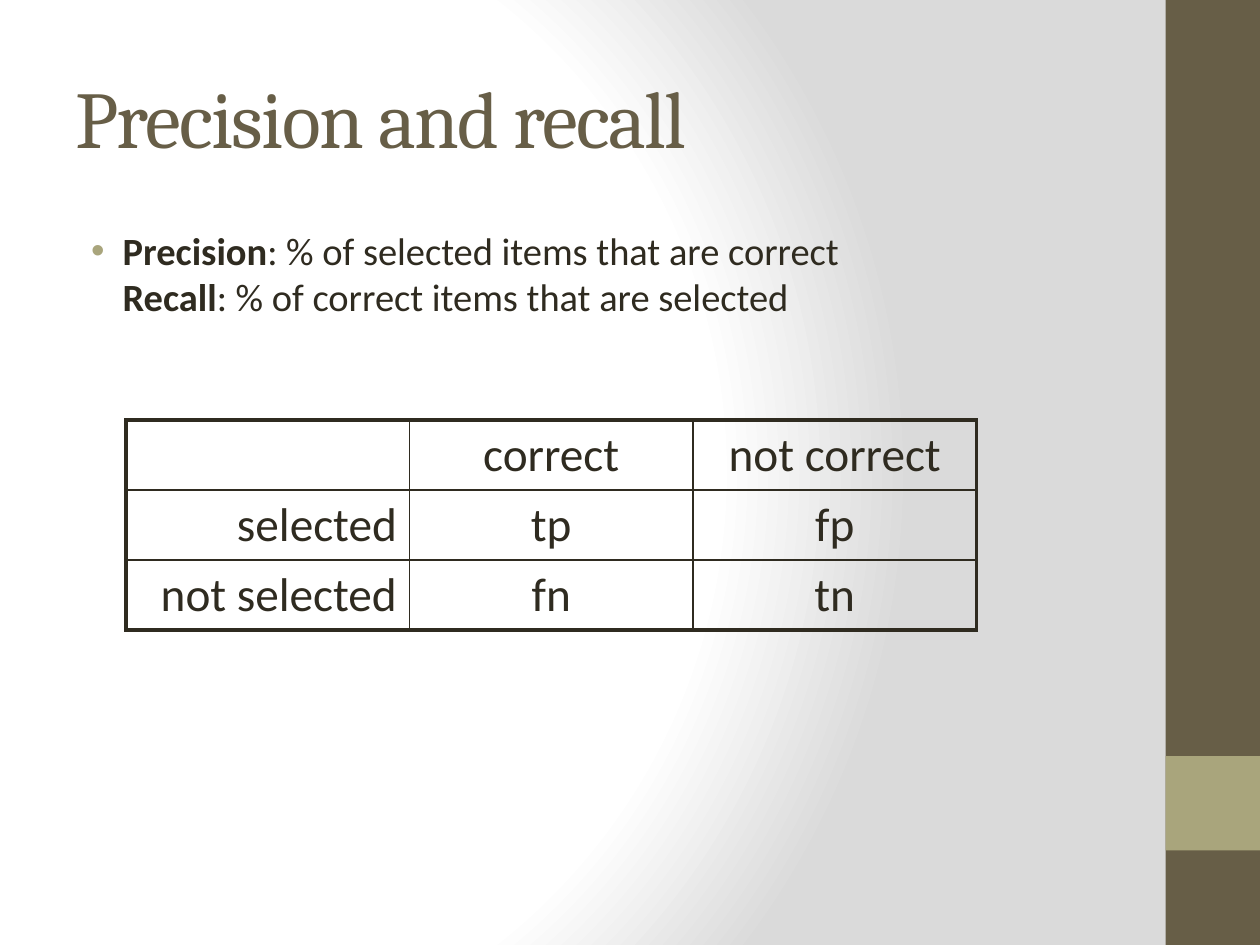
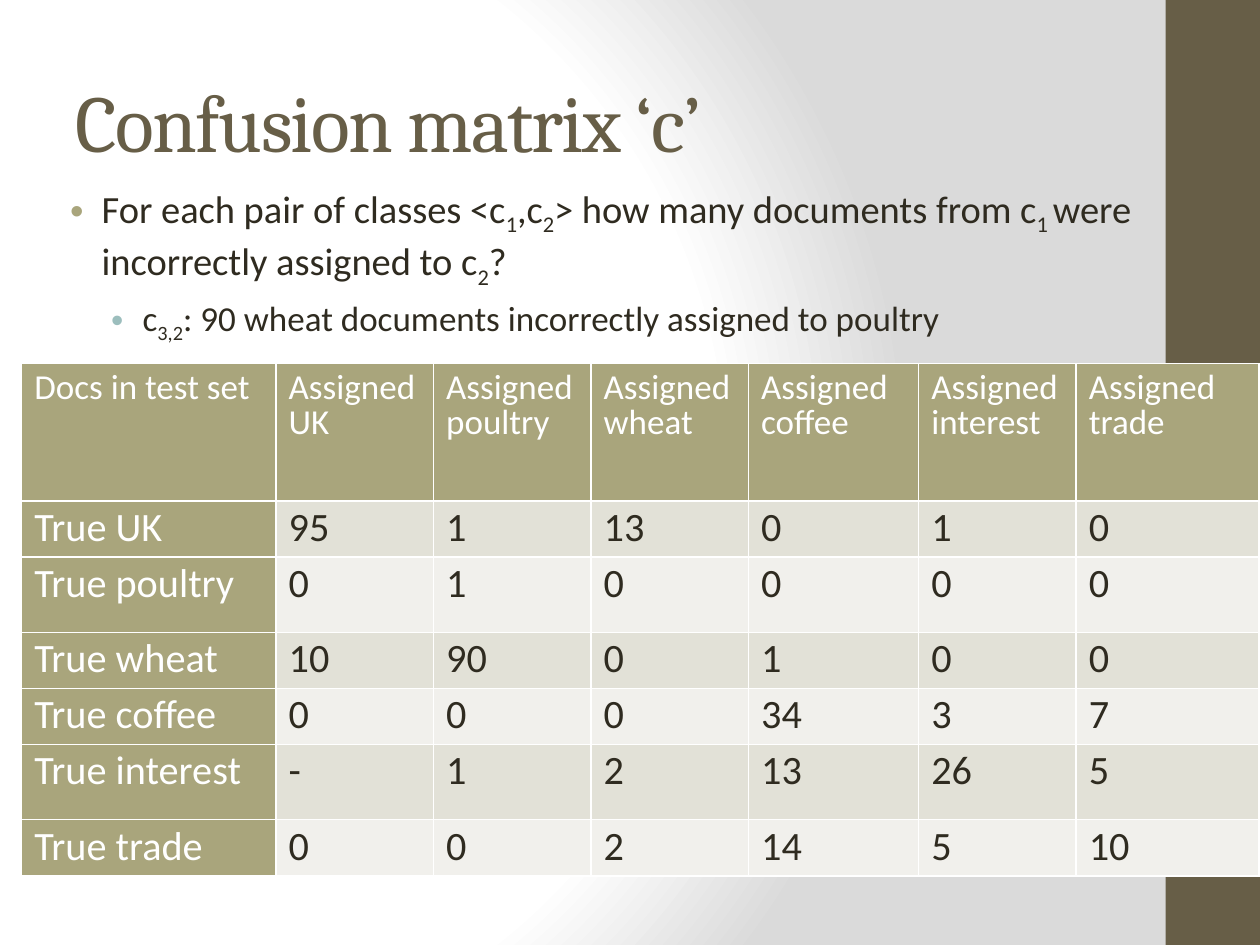
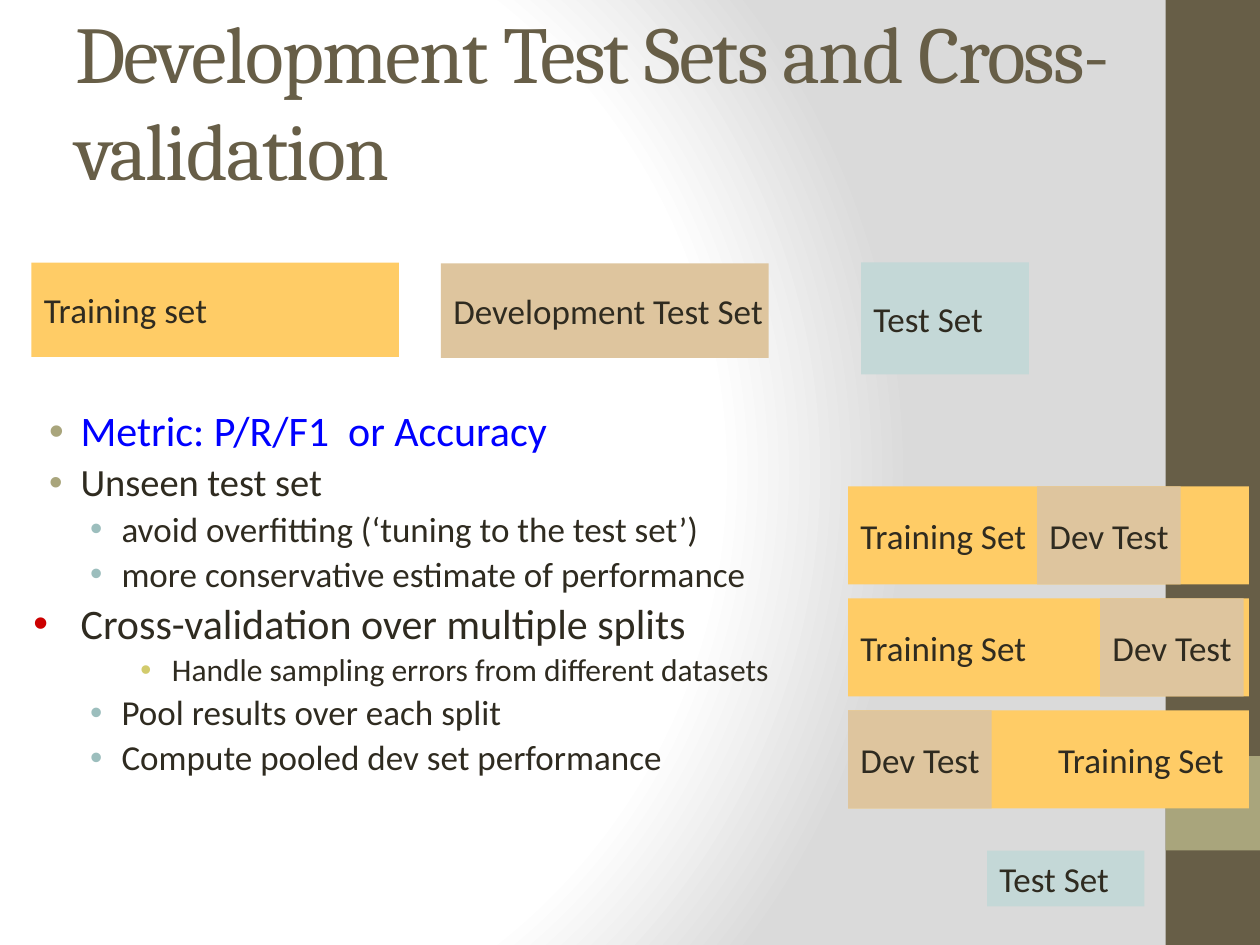
"""Build three slides on classifier evaluation: precision and recall, confusion matrix, test sets."""
from lxml.etree import SubElement
from pptx import Presentation
from pptx.dml.color import RGBColor
from pptx.enum.shapes import MSO_SHAPE
from pptx.enum.text import MSO_ANCHOR, PP_ALIGN
from pptx.oxml import parse_xml
from pptx.oxml.ns import nsdecls, qn
from pptx.util import Pt

COLORS = {
    "title": "675E47", "accent": "A9A57C", "ink": "2F2B20", "white": "FFFFFF", "edge": "DADADA",
    "teal": "9CBEBD", "yellow": "D2CB6C", "red": "CC0000", "blue": "0000FF",
    "odd_row": "E2E1D7", "even_row": "F1F0EC",
    "training": "FFCC66", "dev": "DEC59E", "test": "C4D8D7",
}
BODY_FONT, TITLE_FONT = "Calibri", "Cambria"
BANDS = [((666, 0, 54, 540), "title"), ((666, 432, 54, 54), "accent")]

LEVELS = {
    "main": {"margin": 27, "indent": -18, "bullet": "accent", "size": 22},
    "key": {"margin": 27, "indent": -18, "bullet": "accent", "size": 24, "color": "blue"},
    "sub": {"margin": 50.4, "indent": -18, "bullet": "teal", "size": 20},
    "red": {"margin": 27, "indent": -27, "bullet": "red", "size": 24},
    "detail": {"margin": 79.2, "indent": -18, "bullet": "yellow", "size": 18},
}

DEFINITIONS = [("main", [
    ("Precision", "bold"), (": % of selected items that are correct", ""), ("\n", ""),
    ("Recall", "bold"), (": % of correct items that are selected", ""),
])]
CONTINGENCY = [
    ["", "correct", "not correct"],
    ["selected", "tp", "fp"],
    ["not selected", "fn", "tn"],
]

MATRIX_NOTES = [
    ("main", [
        ("For each pair of classes <c", ""), ("1", "low"), (",c", ""), ("2", "low"),
        ("> how many documents from c", ""), ("1 ", "low"),
        ("were incorrectly assigned to c", ""), ("2", "low"), ("?", ""),
    ]),
    ("sub", [
        ("c", ""), ("3,2", "low"), (": 90 wheat documents incorrectly assigned to poultry", ""),
    ]),
]
MATRIX = [
    ["Docs in test set", "Assigned\nUK", "Assigned poultry", "Assigned wheat",
     "Assigned coffee", "Assigned interest", "Assigned trade"],
    ["True UK", "95", "1", "13", "0", "1", "0"],
    ["True poultry", "0", "1", "0", "0", "0", "0"],
    ["True wheat", "10", "90", "0", "1", "0", "0"],
    ["True coffee", "0", "0", "0", "34", "3", "7"],
    ["True interest", "-", "1", "2", "13", "26", "5"],
    ["True trade", "0", "0", "2", "14", "5", "10"],
]
MATRIX_COLUMNS = [145.4, 90, 90, 90, 97.2, 90, 104.4]
MATRIX_ROWS = [78.5, 32, 43, 32, 32, 43, 32]

VALIDATION_NOTES = [(level, [(text, "")]) for level, text in [
    ("key", "Metric: P/R/F1  or Accuracy"),
    ("main", "Unseen test set"),
    ("sub", "avoid overfitting (‘tuning to the test set’)"),
    ("sub", "more conservative estimate of performance"),
    ("red", "Cross-validation over multiple splits"),
    ("detail", "Handle sampling errors from different datasets"),
    ("sub", "Pool results over each split"),
    ("sub", "Compute pooled dev set performance"),
]]
DATA_SETS = [
    ("Training set", "training", (18, 150, 210, 54)),
    ("Development Test Set", "dev", (252, 150.5, 187.2, 54)),
    ("Test Set", "test", (492, 150, 96, 64)),
    ("Test Set", "test", (564, 486, 90, 32)),
]
SPLIT_LEFT, SPLIT_TOP, SPLIT_PITCH, SPLIT_HEIGHT = 484.6, 278, 64, 56
SPLIT_WIDTH, DEV_WIDTH = 229, 82
SPLITS = [(108, 7.2), (144, 7.2), (0, 120)]


def points(values):
    return [Pt(value) for value in values]


def rgb(name):
    return RGBColor.from_string(COLORS[name])


def assign(target, **values):
    for name, value in values.items():
        setattr(target, name, value)


def add_span(para, text, size, color="ink", font=BODY_FONT, bold=False):
    span = para.add_run()
    span.text = text
    assign(span.font, size=Pt(size), name=font, bold=bold)
    span.font.color.rgb = rgb(color)
    return span


def add_text_box(page, place, anchor=MSO_ANCHOR.TOP):
    frame = page.shapes.add_textbox(*points(place)).text_frame
    assign(frame, word_wrap=True, vertical_anchor=anchor)
    return frame


def add_rect(page, place, fill):
    box = page.shapes.add_shape(MSO_SHAPE.RECTANGLE, *points(place))
    box.shadow.inherit = False
    box.fill.solid()
    box.fill.fore_color.rgb = rgb(fill)
    box.line.fill.background()
    return box


def add_label(page, text, fill, place, inset=7.2):
    frame = add_rect(page, place, fill).text_frame
    assign(frame, word_wrap=False, vertical_anchor=MSO_ANCHOR.MIDDLE, margin_left=Pt(inset))
    para = frame.paragraphs[0]
    para.alignment = PP_ALIGN.LEFT
    add_span(para, text, 20)


def set_background(page):
    stops = "".join(
        f'<a:gs pos="{position}"><a:srgbClr val="{COLORS[name]}"/></a:gs>'
        for position, name in [(0, "white"), (75000, "white"), (100000, "edge")])
    gradient = parse_xml(
        f'<a:gradFill {nsdecls("a")} rotWithShape="1"><a:gsLst>{stops}</a:gsLst>'
        '<a:path path="circle"><a:fillToRect l="20000" t="50000" r="100000" b="50000"/></a:path>'
        '</a:gradFill>')
    page.background.fill.solid()
    solid = page.background._cSld.find(".//" + qn("a:solidFill"))
    solid.getparent().replace(solid, gradient)


def add_page(deck, title, place):
    page = deck.slides.add_slide(deck.slide_layouts[6])
    set_background(page)
    for band, fill in BANDS:
        add_rect(page, band, fill)
    para = add_text_box(page, place, MSO_ANCHOR.MIDDLE).paragraphs[0]
    span = add_span(para, title, 46, "title", TITLE_FONT)
    span._r.get_or_add_rPr().set("spc", "-100")
    return page


def set_bullet(para, level):
    props = para._p.get_or_add_pPr()
    props.set("marL", str(Pt(level["margin"])))
    props.set("indent", str(Pt(level["indent"])))
    SubElement(SubElement(props, qn("a:buClr")), qn("a:srgbClr")).set("val", COLORS[level["bullet"]])
    SubElement(props, qn("a:buFont")).set("typeface", "Arial")
    SubElement(props, qn("a:buChar")).set("char", "•")


def add_bullets(page, place, notes, line_spacing=1.0):
    frame = add_text_box(page, place)
    for index, (name, parts) in enumerate(notes):
        level = LEVELS[name]
        para = frame.add_paragraph() if index else frame.paragraphs[0]
        assign(para, line_spacing=line_spacing, space_before=Pt(round(level["size"] * 0.2, 1)))
        set_bullet(para, level)
        for text, style in parts:
            if text == "\n":
                para.add_line_break()
                continue
            span = add_span(para, text, level["size"], level.get("color", "ink"), bold=style == "bold")
            if style == "low":
                span._r.get_or_add_rPr().set("baseline", "-25000")


def set_borders(cell, color, widths):
    props = cell._tc.get_or_add_tcPr()
    for side, width in zip("LRTB", widths):
        line = SubElement(props, qn(f"a:ln{side}"), w=str(Pt(width)))
        SubElement(SubElement(line, qn("a:solidFill")), qn("a:srgbClr")).set("val", COLORS[color])


def add_grid(page, corner, columns, rows):
    size = (sum(columns), sum(rows))
    table = page.shapes.add_table(len(rows), len(columns), *points(corner + size)).table
    assign(table, first_row=False, horz_banding=False)
    for column, width in zip(table.columns, columns):
        column.width = Pt(width)
    for row, height in zip(table.rows, rows):
        row.height = Pt(height)
    return table


def add_contingency(page):
    table = add_grid(page, (72, 240), [162] * 3, [40] * 3)
    last = len(CONTINGENCY) - 1
    for r, row in enumerate(CONTINGENCY):
        for c, text in enumerate(row):
            cell = table.cell(r, c)
            outer = (c == 0, c == last, r == 0, r == last)
            set_borders(cell, "ink", [2.25 if edge else 1 for edge in outer])
            cell.fill.background()
            para = cell.text_frame.paragraphs[0]
            para.alignment = PP_ALIGN.CENTER if c else PP_ALIGN.RIGHT
            if text:
                add_span(para, text, 27)


def add_matrix(page):
    table = add_grid(page, (12.4, 207.8), MATRIX_COLUMNS, MATRIX_ROWS)
    for r, row in enumerate(MATRIX):
        for c, text in enumerate(row):
            cell = table.cell(r, c)
            header = r == 0 or c == 0
            assign(cell, margin_top=Pt(5), margin_bottom=Pt(5))
            set_borders(cell, "white", [1] * 4)
            cell.fill.solid()
            cell.fill.fore_color.rgb = rgb("accent" if header else "odd_row" if r % 2 else "even_row")
            for index, line in enumerate(text.split("\n")):
                frame = cell.text_frame
                para = frame.add_paragraph() if index else frame.paragraphs[0]
                para.line_spacing = 0.8
                add_span(para, line, 23 if r else 20, "white" if header else "ink")


def add_splits(page):
    for index, (dev_offset, inset) in enumerate(SPLITS):
        top = SPLIT_TOP + index * SPLIT_PITCH
        add_label(page, "Training Set", "training", (SPLIT_LEFT, top, SPLIT_WIDTH, SPLIT_HEIGHT), inset)
        add_label(page, "Dev Test", "dev", (SPLIT_LEFT + dev_offset, top, DEV_WIDTH, SPLIT_HEIGHT))


def main():
    deck = Presentation()
    assign(deck, slide_width=Pt(720), slide_height=Pt(540))

    page = add_page(deck, "Precision and recall", (36, 21.6, 600, 90))
    add_bullets(page, (36, 126, 600, 378), DEFINITIONS)
    add_contingency(page)

    page = add_page(deck, "Confusion matrix ‘c’", (36, 30, 588, 78))
    add_bullets(page, (24, 102, 672, 350), MATRIX_NOTES)
    add_matrix(page)

    page = add_page(deck, "Development Test Sets and Cross-validation", (36, 18, 612, 78))
    add_bullets(page, (12, 231, 570, 300), VALIDATION_NOTES, 0.9)
    for text, fill, place in DATA_SETS:
        add_label(page, text, fill, place)
    add_splits(page)

    deck.save("out.pptx")


if __name__ == "__main__":
    main()
